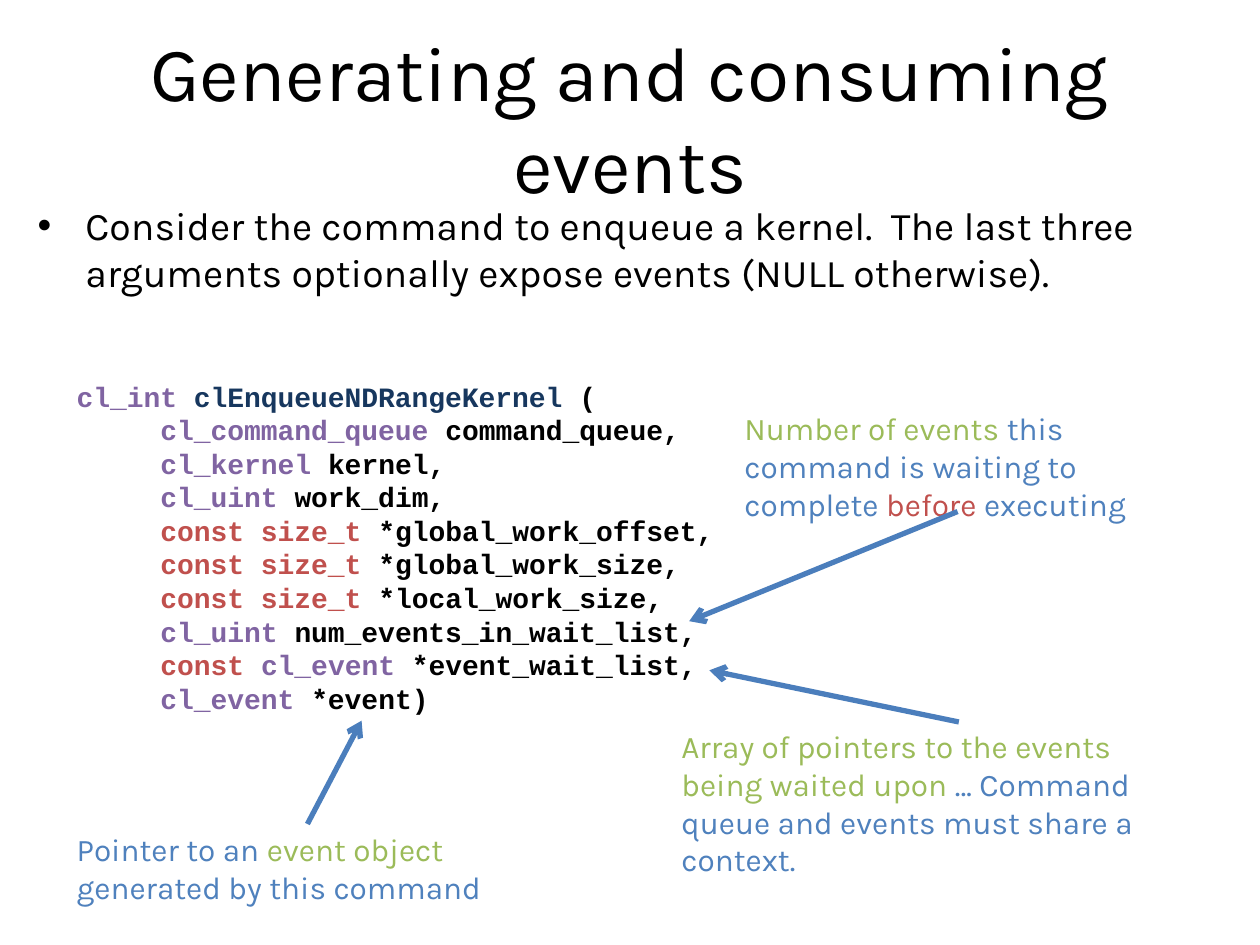
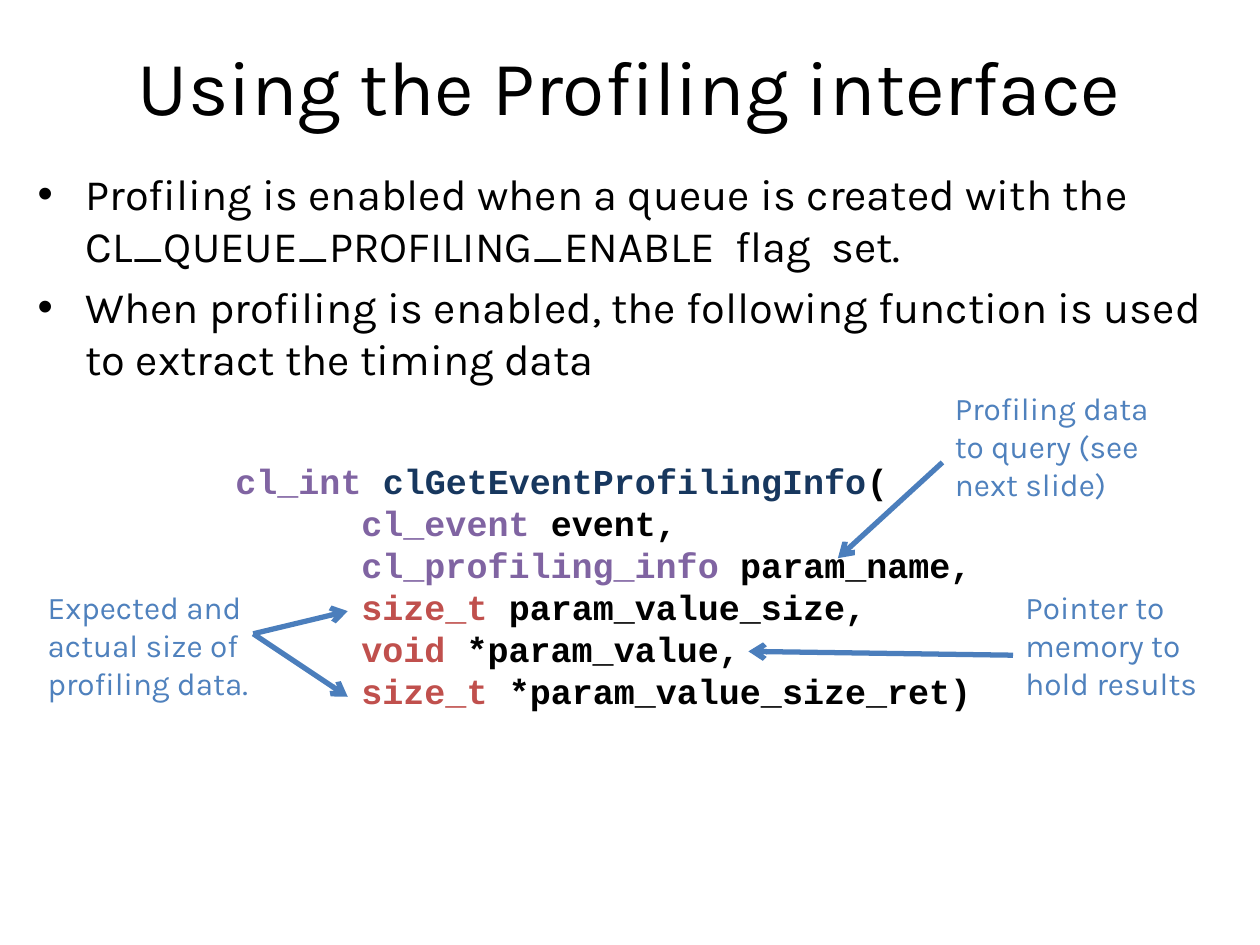
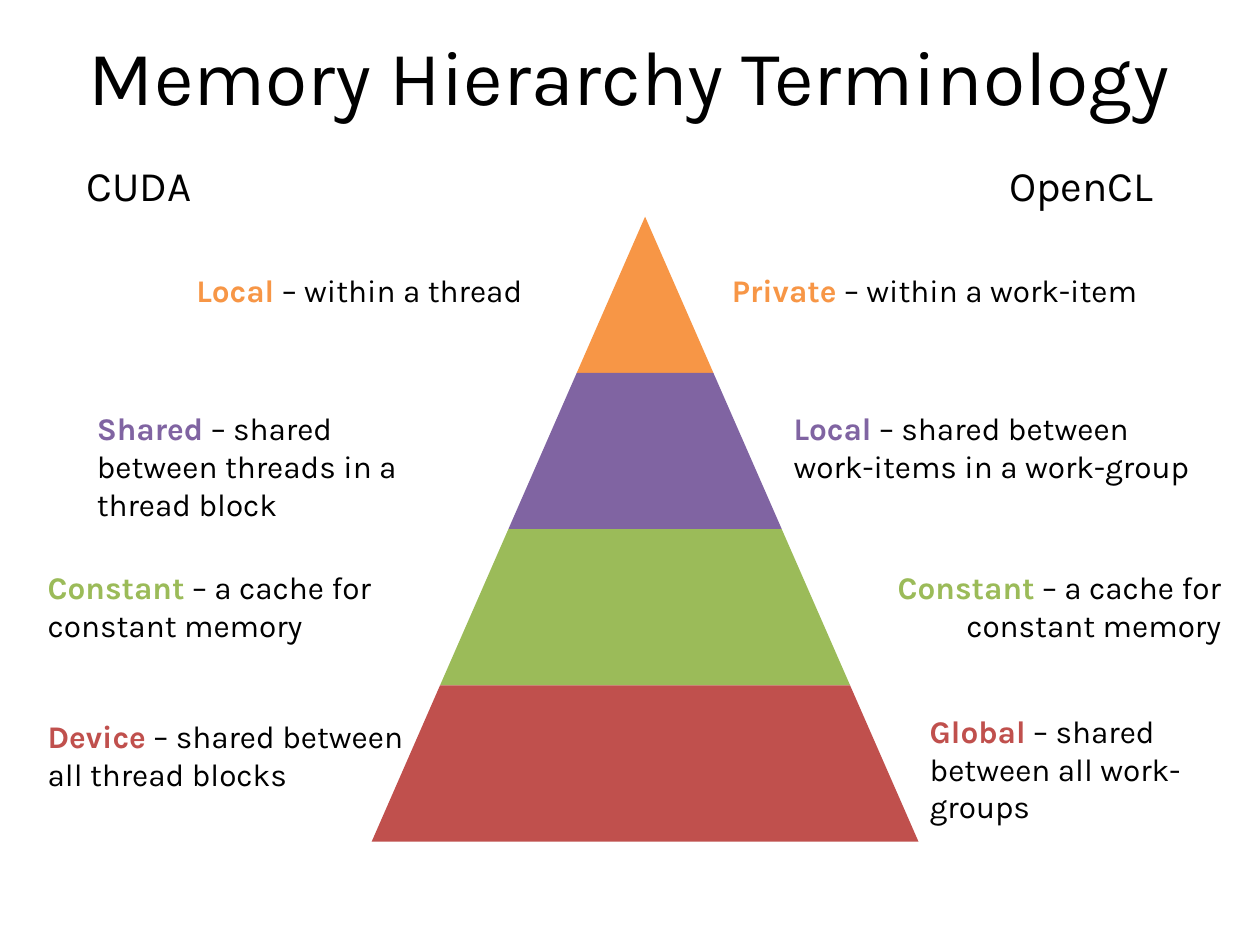
from lxml import etree
from pptx import Presentation
from pptx.dml.color import RGBColor
from pptx.enum.shapes import MSO_CONNECTOR, MSO_SHAPE
from pptx.enum.text import MSO_ANCHOR, MSO_AUTO_SIZE, PP_ALIGN
from pptx.oxml.ns import qn
from pptx.util import Inches, Pt

BLACK = RGBColor(0x00, 0x00, 0x00)
NAVY = RGBColor(0x17, 0x37, 0x5E)
BLUE = RGBColor(0x4F, 0x81, 0xBD)
ARROW_BLUE = RGBColor(0x4B, 0x7E, 0xBC)
PURPLE = RGBColor(0x80, 0x64, 0xA2)
GREEN = RGBColor(0x9B, 0xBB, 0x59)
RED = RGBColor(0xC0, 0x50, 0x4D)
ORANGE = RGBColor(0xF7, 0x96, 0x46)
SANS, MONO = "Karla", "Courier New"
TITLE_SIZE, HEAD_SIZE, NOTE_SIZE = 44, 24, 18

prs = Presentation()
prs.slide_width, prs.slide_height = Inches(10), Inches(7.5)
COL, ROW = prs.slide_width / 100, prs.slide_height / 75


def add_text(s, box, paras, size, font=SANS, bold=False, align=PP_ALIGN.LEFT):
    """Place paragraphs, each a list of (text, colour) runs, in a box of grid units."""
    x, y, w, h = box
    sp = s.shapes.add_textbox(int(x * COL), int(y * ROW), int(w * COL), int(h * ROW))
    tf = sp.text_frame
    tf.word_wrap = True
    tf.auto_size = MSO_AUTO_SIZE.SHAPE_TO_FIT_TEXT
    for i, runs in enumerate(paras):
        p = tf.add_paragraph() if i else tf.paragraphs[0]
        p.alignment = align
        for text, color, *strong in runs:
            r = p.add_run()
            r.text = text
            r.font.color.rgb = color
            style = {"name": font, "size": Pt(size), "bold": bold or bool(strong)}
            for key, value in style.items():
                setattr(r.font, key, value)
    return tf


def add_arrow(s, x1, y1, x2, y2):
    line = s.shapes.add_connector(MSO_CONNECTOR.STRAIGHT, int(x1 * COL), int(y1 * ROW),
                                  int(x2 * COL), int(y2 * ROW))
    line.line.color.rgb = ARROW_BLUE
    line.line.width = Pt(3)
    etree.SubElement(line.line._get_or_add_ln(), qn("a:tailEnd"), type="arrow")
    etree.SubElement(line._element.spPr, qn("a:effectLst"))


# Titles and bullets of all slides
outline = [
    ("Generating and consuming events", (1.2, 3, 97.6, 12.5), (2, 15.5, 96.1, 8.2), 22.4,
     ["Consider the command to enqueue a kernel.  The last three arguments "
      "optionally expose events (NULL otherwise)."]),
    ("Using the Profiling interface", (5, 0.5, 90, 12.5), (2, 12.8, 96.1, 15.3), 24.8,
     ["Profiling is enabled when a queue is created with the "
      "CL_QUEUE_PROFILING_ENABLE  flag  set.",
      "When profiling is enabled, the following function is used to extract "
      "the timing data"]),
    ("Memory Hierarchy Terminology", (5, -0.3, 90, 12.5), None, None, []),
]
slides = []
for title, title_box, body_box, body_size, bullets in outline:
    s = prs.slides.add_slide(prs.slide_layouts[6])
    slides.append(s)
    tf = add_text(s, title_box, [[(title, BLACK)]], TITLE_SIZE, align=PP_ALIGN.CENTER)
    tf.auto_size = MSO_AUTO_SIZE.NONE
    tf.vertical_anchor = MSO_ANCHOR.MIDDLE
    if not bullets:
        continue
    tf = add_text(s, body_box, [[(b, BLACK)] for b in bullets], body_size)
    tf.auto_size = MSO_AUTO_SIZE.NONE
    for i, p in enumerate(tf.paragraphs):
        p.space_before = Pt(0.2 * body_size if i else 0)
        pPr = p._p.get_or_add_pPr()
        pPr.set("marL", str(Inches(0.38)))
        pPr.set("indent", str(-Inches(0.38)))
        etree.SubElement(pPr, qn("a:buFont"), typeface="Arial")
        etree.SubElement(pPr, qn("a:buChar"), char="•")
events, profiling, memory = slides

# Generating and consuming events
enqueue_code = [
    [("cl_int ", PURPLE), ("clEnqueueNDRangeKernel", NAVY), (" (", BLACK)],
    [("     cl_command_queue ", PURPLE), ("command_queue,", BLACK)],
    [("     cl_kernel ", PURPLE), ("kernel,", BLACK)],
    [("     cl_uint ", PURPLE), ("work_dim,", BLACK)],
    [("     const size_t ", RED), ("*global_work_offset,", BLACK)],
    [("     const size_t ", RED), ("*global_work_size,", BLACK)],
    [("     const size_t ", RED), ("*local_work_size,", BLACK)],
    [("     cl_uint ", PURPLE), ("num_events_in_wait_list,", BLACK)],
    [("     const ", RED), ("cl_event ", PURPLE), ("*event_wait_list,", BLACK)],
    [("     cl_event ", PURPLE), ("*event)", BLACK)],
]
add_text(events, (5.1, 29.6, 59.1, 30.6), enqueue_code, 16, MONO, bold=True)

# Using the profiling interface
profiling_code = [
    [("cl_int ", PURPLE), ("clGetEventProfilingInfo", NAVY), ("(", BLACK)],
    [("\tcl_event ", PURPLE), ("event,", BLACK)],
    [("\tcl_profiling_info ", PURPLE), ("param_name,", BLACK)],
    [("\tsize_t ", RED), ("param_value_size,", BLACK)],
    [("\tvoid", RED), (" *param_value,", BLACK)],
    [("\tsize_t ", RED), ("*param_value_size_ret)", BLACK)],
]
tf = add_text(profiling, (17.7, 36, 62.2, 21.2), profiling_code, 20, MONO, bold=True)
for p in tf.paragraphs:
    tabs = etree.SubElement(p._p.get_or_add_pPr(), qn("a:tabLst"))
    etree.SubElement(tabs, qn("a:tab"), pos=str(Inches(1)), algn="l")

# Notes on the code, each with its arrows
notes = [
    (events, (5.1, 65.4, 38.6, 7.1),
     [("Pointer to an ", BLUE), ("event object ", GREEN), ("generated by this command", BLUE)],
     [(24.4, 65.4, 28.7, 57.2)]),
    (events, (53.1, 57.2, 38.6, 13.1),
     [("Array of pointers to the events being waited upon ", GREEN),
      ("… Command queue and events must share a context.", BLUE)],
     [(76.1, 57.3, 56.3, 53.2)]),
    (events, (58.1, 32, 38.6, 10.1),
     [("Number of events ", GREEN), ("this command is waiting to complete ", BLUE),
      ("before", RED), (" executing", BLUE)],
     [(76, 40.6, 54.7, 49.3)]),
    (profiling, (2.8, 46.2, 18.1, 10.1),
     [("Expected and actual size of profiling data.", BLUE)],
     [(20.1, 50.3, 27.6, 48.5), (20.1, 50.3, 27.6, 55.3)]),
    (profiling, (74.8, 30.4, 18.1, 10.1),
     [("Profiling data to query (see next slide)", BLUE)],
     [(74.8, 36.7, 66.5, 44.3)]),
    (profiling, (80.4, 46.2, 18.1, 10.1),
     [("Pointer to memory to hold results", BLUE)],
     [(80.4, 52, 59.4, 51.7)]),
]
for s, box, runs, arrows in notes:
    add_text(s, box, [runs], NOTE_SIZE)
    for arrow in arrows:
        add_arrow(s, *arrow)

# Memory hierarchy: each tier is one step wider than the tier above
CENTER, TOP, TIER_H, STEP = 51.2, 17.2, 12.4, 10.85
LEFT, RIGHT = PP_ALIGN.LEFT, PP_ALIGN.RIGHT
tiers = [
    (ORANGE, [("Local", " – within a thread", (14.6, 21, 29.6, 4), LEFT),
              ("Private", " – within a work-item", (57.1, 21, 34.6, 4), LEFT)]),
    (PURPLE, [("Shared", " – shared between threads in a thread block",
               (6.7, 32, 30.7, 7.1), LEFT),
              ("Local", " – shared between work-items in a work-group",
               (62, 32, 34.3, 7.1), LEFT)]),
    (GREEN, [("Constant", " – a cache for constant memory", (2.8, 44.6, 28.2, 7.1), LEFT),
             ("Constant", " – a cache for constant memory", (69.7, 44.6, 28.2, 7.1), RIGHT)]),
    (RED, [("Device", " – shared between all thread blocks", (2.8, 56.4, 30.6, 7.1), LEFT),
           ("Global", " – shared between all work-groups", (72.8, 56, 26.8, 10.1), LEFT)]),
]
for i, (color, labels) in enumerate(tiers):
    width = STEP * (i + 1)
    sp = memory.shapes.add_shape(MSO_SHAPE.TRAPEZOID, int((CENTER - width / 2) * COL),
                                 int((TOP + i * TIER_H) * ROW),
                                 int(width * COL), int(TIER_H * ROW))
    sp.adjustments[0] = STEP / 2 / min(width, TIER_H)
    sp.shadow.inherit = False
    sp.fill.solid()
    sp.fill.fore_color.rgb = color
    sp.line.fill.background()
    for term, meaning, box, align in labels:
        add_text(memory, box, [[(term, color, True), (meaning, BLACK)]], NOTE_SIZE, align=align)

for name, x, w in [("CUDA", 5.9, 11), ("OpenCL", 79.1, 14.2)]:
    add_text(memory, (x, 12.2, w, 5), [[(name, BLACK)]], HEAD_SIZE)

prs.save("out.pptx")
